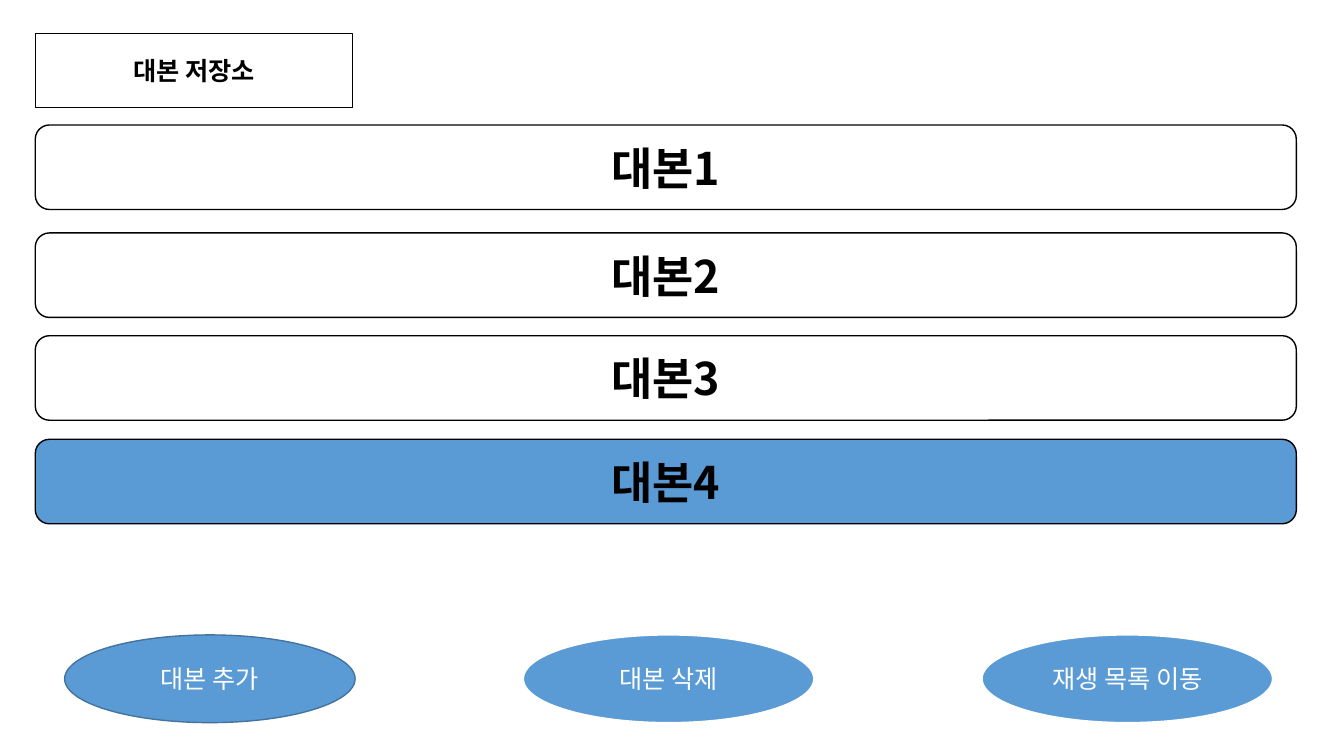
from lxml.etree import SubElement
from pptx import Presentation
from pptx.dml.color import RGBColor
from pptx.enum.shapes import MSO_SHAPE as Preset
from pptx.enum.text import MSO_ANCHOR as Anchor, PP_ALIGN as Align
from pptx.oxml.ns import qn
from pptx.util import Cm, Pt

FONT = "Noto Sans CJK KR"
BLACK, WHITE, BLUE, DARK_BLUE = "000000", "FFFFFF", "5B9BD5", "43739E"

TITLE = "대본 저장소"
SCRIPTS = [
    ("대본1", 3.15, WHITE),
    ("대본2", 5.87, WHITE),
    ("대본3", 8.46, WHITE),
    ("대본4", 11.07, BLUE),
]
BUTTONS = [("대본 추가", DARK_BLUE), ("대본 삭제", WHITE), ("재생 목록 이동", WHITE)]

MARGIN = 0.89
BUTTON_LEFT, BUTTON_STEP = 1.63, 11.56

TITLE_FORMAT = {"size": Pt(18), "bold": True}
SCRIPT_FORMAT = {"size": Pt(32), "bold": True}
BUTTON_FORMAT = {"size": Pt(18), "bold": False}


def color(value):
    return RGBColor.from_string(value)


def add_box(page, preset, place, text, fill, line, ink, text_format):
    box = page.shapes.add_shape(preset, *map(Cm, place))
    box.shadow.inherit = False
    box.fill.solid()
    box.fill.fore_color.rgb = color(fill)
    box.line.color.rgb = color(line)
    box.line.width = Pt(1)
    box.text_frame.vertical_anchor = Anchor.MIDDLE
    para = box.text_frame.paragraphs[0]
    para.alignment = Align.CENTER
    span = para.add_run()
    span.text = text
    for name, value in {"name": FONT, **text_format}.items():
        setattr(span.font, name, value)
    span.font.color.rgb = color(ink)
    SubElement(span.font._element, qn("a:ea"), typeface=FONT)


def main():
    deck = Presentation()
    deck.slide_width, deck.slide_height = Cm(33.87), Cm(19.05)
    page = deck.slides.add_slide(deck.slide_layouts[6])

    add_box(page, Preset.RECTANGLE, (MARGIN, 0.84, 8.0, 1.87),
            TITLE, WHITE, BLACK, BLACK, TITLE_FORMAT)
    for text, top, fill in SCRIPTS:
        add_box(page, Preset.ROUNDED_RECTANGLE, (MARGIN, top, 31.78, 2.13),
                text, fill, BLACK, BLACK, SCRIPT_FORMAT)
    for index, (text, line) in enumerate(BUTTONS):
        left = BUTTON_LEFT + index * BUTTON_STEP
        add_box(page, Preset.OVAL, (left, 16.0, 7.32, 2.21),
                text, BLUE, line, WHITE, BUTTON_FORMAT)

    deck.save("out.pptx")


if __name__ == "__main__":
    main()
